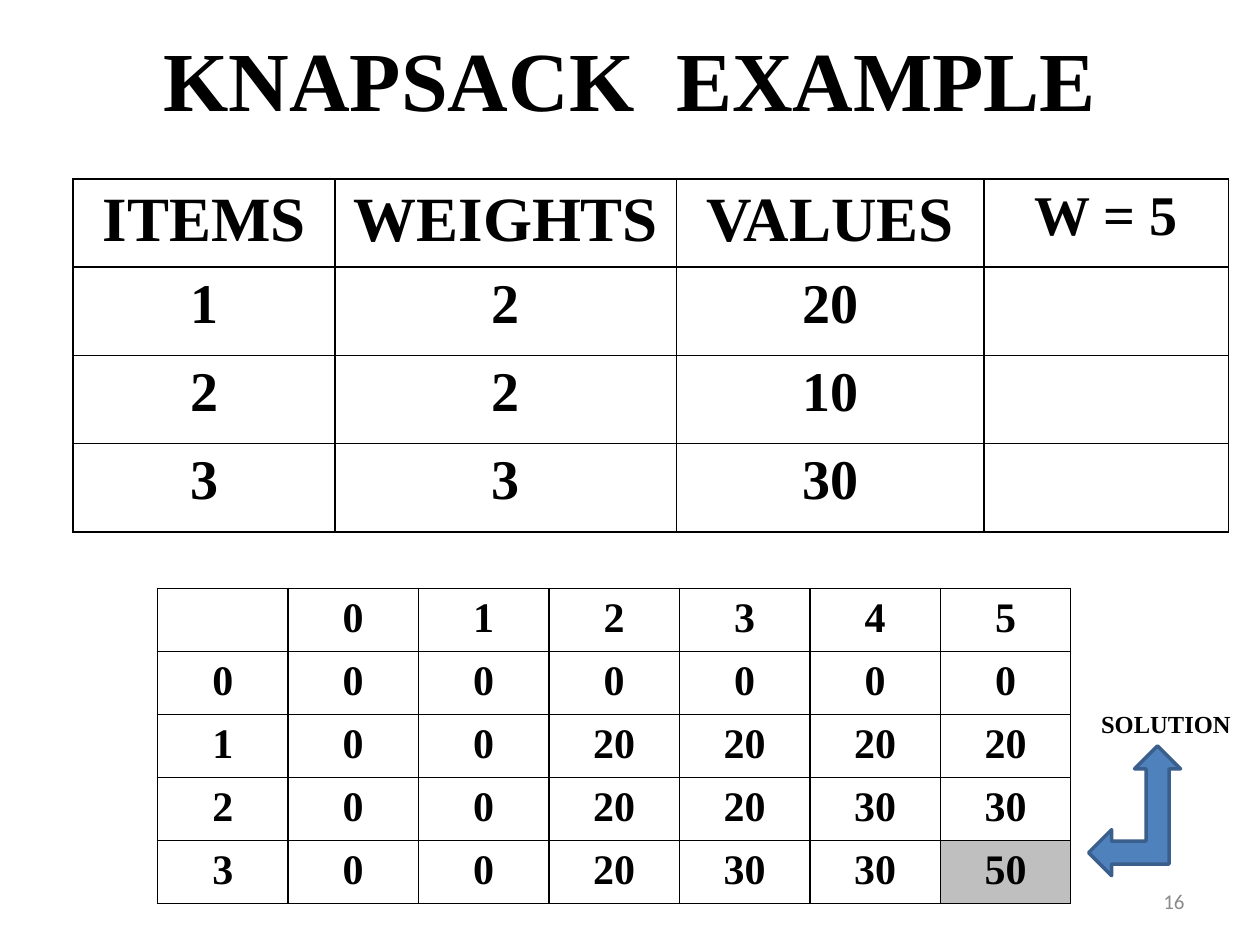
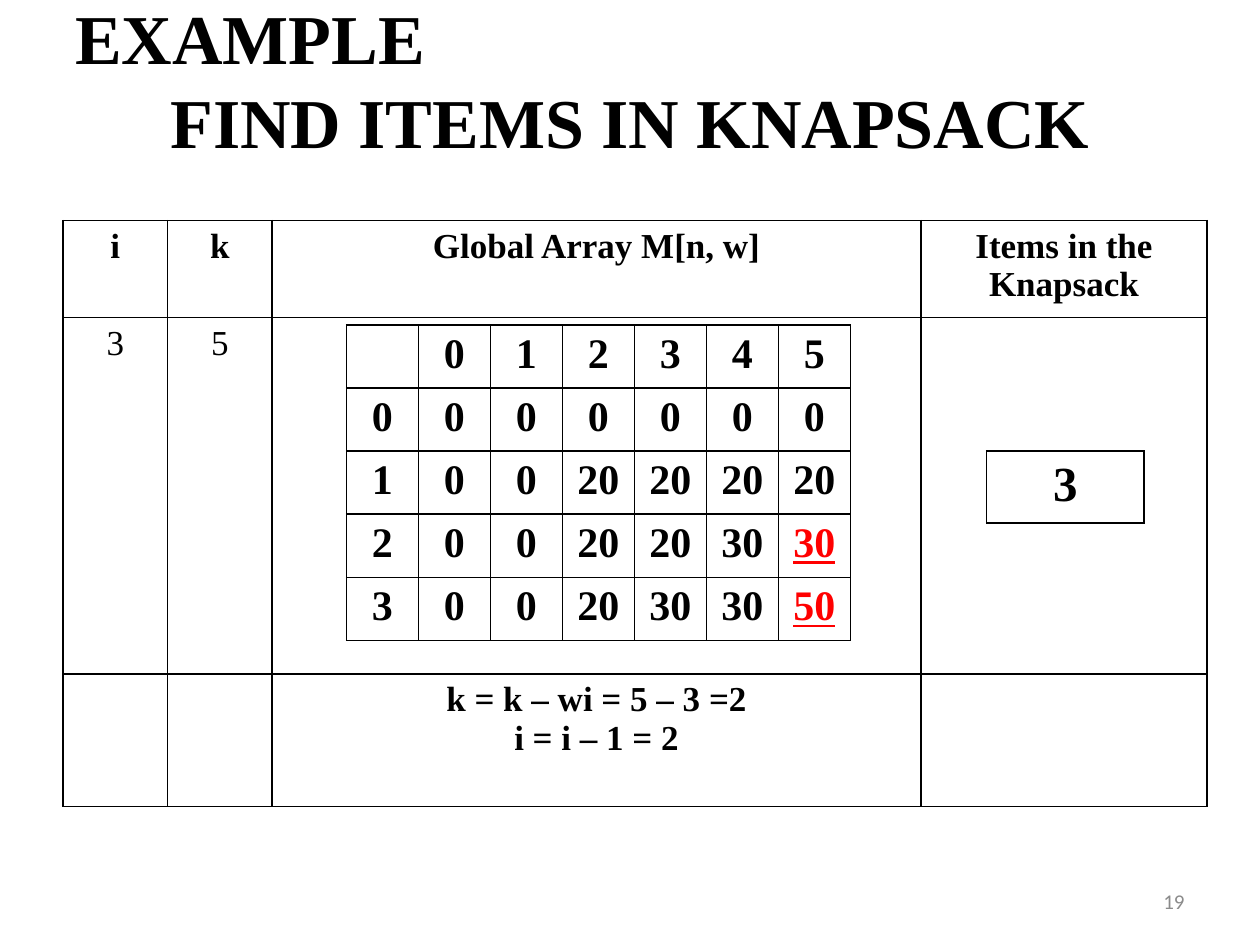
from lxml import etree
from pptx import Presentation
from pptx.dml.color import RGBColor
from pptx.enum.shapes import MSO_SHAPE
from pptx.enum.text import MSO_ANCHOR, PP_ALIGN
from pptx.oxml import parse_xml
from pptx.oxml.ns import nsdecls
from pptx.util import Inches, Pt

LEFT, MID, RIGHT = PP_ALIGN.LEFT, PP_ALIGN.CENTER, PP_ALIGN.RIGHT
CENTRED = MSO_ANCHOR.MIDDLE
ARROW = MSO_SHAPE.LEFT_UP_ARROW
SERIF, SANS = "Times New Roman", "Calibri"
BLACK, RED, GREY, SILVER = "000000", "FF0000", "8B8B8B", "BFBFBF"
BLUE, NAVY = "4F81BD", "3A5F8C"

ITEMS = [
    ["ITEMS", "WEIGHTS", "VALUES", "W = 5"],
    ["1", "2", "20", ""],
    ["2", "2", "10", ""],
    ["3", "3", "30", ""],
]
GAINS = [
    [0, 0, 0, 0, 0, 0],
    [0, 0, 20, 20, 20, 20],
    [0, 0, 20, 20, 30, 30],
    [0, 0, 20, 30, 30, 50],
]
ARRAY = [[""] + [str(k) for k in range(6)]]
ARRAY += [[str(n) for n in [i] + row] for i, row in enumerate(GAINS)]
STEPS = [
    ["i", "k", "Global Array M[n, w]", "Items in the Knapsack"],
    ["3", "5", "", ""],
    ["", "", "k = k – wi = 5 – 3 =2\ni = i – 1 = 2", ""],
]


def shade(hue):
    """Turn a hex string into a colour."""
    return RGBColor.from_string(hue)


def style(frame, size, align=MID, face=SERIF, hue=BLACK, bold=True):
    """Format every paragraph and run of a text frame."""
    for para in frame.paragraphs:
        para.alignment = align
        for run in para.runs:
            run.font.size = Pt(size)
            run.font.name = face
            run.font.bold = bold
            run.font.color.rgb = shade(hue)


def label(slide, box, text, size, wrap=True, anchor=CENTRED, **looks):
    """Add a formatted text box and return its frame."""
    frame = slide.shapes.add_textbox(*map(Inches, box)).text_frame
    frame.word_wrap = wrap
    frame.vertical_anchor = anchor
    frame.text = text
    style(frame, size, **looks)
    return frame


def border(cell):
    """Draw thin black lines on the four sides of a cell."""
    props = cell._tc.get_or_add_tcPr()
    for spot, side in enumerate("LRTB"):
        line = parse_xml(f'<a:ln{side} {nsdecls("a")} w="12700"><a:solidFill>'
                         f'<a:srgbClr val="{BLACK}"/></a:solidFill></a:ln{side}>')
        props.insert(spot, line)


def grid(slide, left, top, cols, rows, data, size):
    """Add a plain ruled table and return it."""
    box = map(Inches, (left, top, sum(cols), sum(rows)))
    table = slide.shapes.add_table(len(rows), len(cols), *box).table
    table.first_row = table.horz_banding = False
    for col, width in zip(table.columns, cols):
        col.width = Inches(width)
    for row, height, texts in zip(table.rows, rows, data):
        row.height = Inches(height)
        for cell, text in zip(row.cells, texts):
            cell.text = text
            cell.fill.background()
            border(cell)
            style(cell.text_frame, size)
    return table


def array(slide, left, top, width):
    """Add the table of best values, with equal columns."""
    return grid(slide, left, top, [width / 7] * 7, [0.5] * 5, ARRAY, 24)


def start(deck, title, size, number):
    """Add a slide with its title and number; return slide and title frame."""
    slide = deck.slides.add_slide(deck.slide_layouts[6])
    frame = label(slide, (0.5, 0.08, 9, 1.08), title, size)
    label(slide, (7.17, 6.95, 2.33, 0.4), number, 12,
          align=RIGHT, face=SANS, hue=GREY, bold=False)
    return slide, frame


def answer(slide, left, top):
    """Add the solution label with its bent arrow below."""
    label(slide, (left, top, 1.25, 0.34), "SOLUTION", 14,
          wrap=False, anchor=MSO_ANCHOR.TOP, align=LEFT)
    box = map(Inches, (left, top + 0.34, 0.73, 1.03))
    arrow = slide.shapes.add_shape(ARROW, *box)
    arrow.shadow.inherit = False
    arrow.fill.solid()
    arrow.fill.fore_color.rgb = shade(BLUE)
    arrow.line.color.rgb = shade(NAVY)
    arrow.line.width = Pt(2)


def problem(deck):
    """Build the slide with the items and the solved array."""
    slide, _ = start(deck, "KNAPSACK  EXAMPLE", 48, "16")
    items = grid(slide, 0.58, 1.42, [2.08, 2.71, 2.44, 1.94], [0.7] * 4, ITEMS, 32)
    for col in range(3):
        style(items.cell(0, col).text_frame, 36)
    best = array(slide, 1.25, 4.67, 7.25).cell(4, 6)
    best.fill.solid()
    best.fill.fore_color.rgb = shade(SILVER)
    answer(slide, 8.64, 5.58)


def search(deck):
    """Build the slide that traces the chosen items."""
    slide, title = start(deck, "EXAMPLE\nFIND ITEMS IN KNAPSACK", 40, "19")
    title.paragraphs[0].alignment = LEFT
    best = array(slide, 2.75, 2.58, 4)
    for row in (3, 4):
        frame = best.cell(row, 6).text_frame
        style(frame, 24, hue=RED)
        frame.paragraphs[0].runs[0].font.underline = True
    steps = grid(slide, 0.5, 1.75, [0.83, 0.83, 5.15, 2.27],
                 [0.77, 2.83, 1.05], STEPS, 20)
    for col in (0, 1):
        style(steps.cell(1, col).text_frame, 20, bold=False)
    grid(slide, 7.83, 3.58, [1.25], [0.57], [["3"]], 28)


def main():
    """Build and save the deck."""
    deck = Presentation()
    deck.slide_width, deck.slide_height = Inches(10), Inches(7.5)
    problem(deck)
    search(deck)
    deck.save("out.pptx")


if __name__ == "__main__":
    main()
